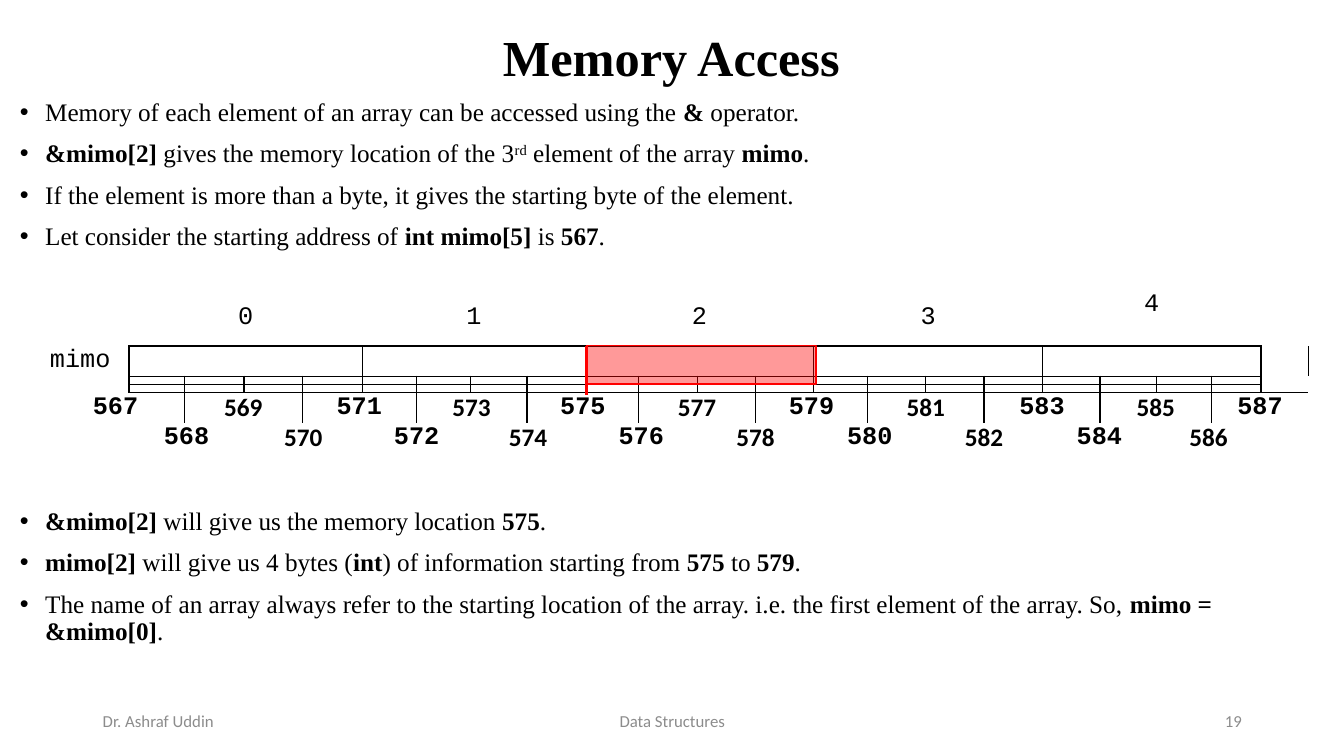
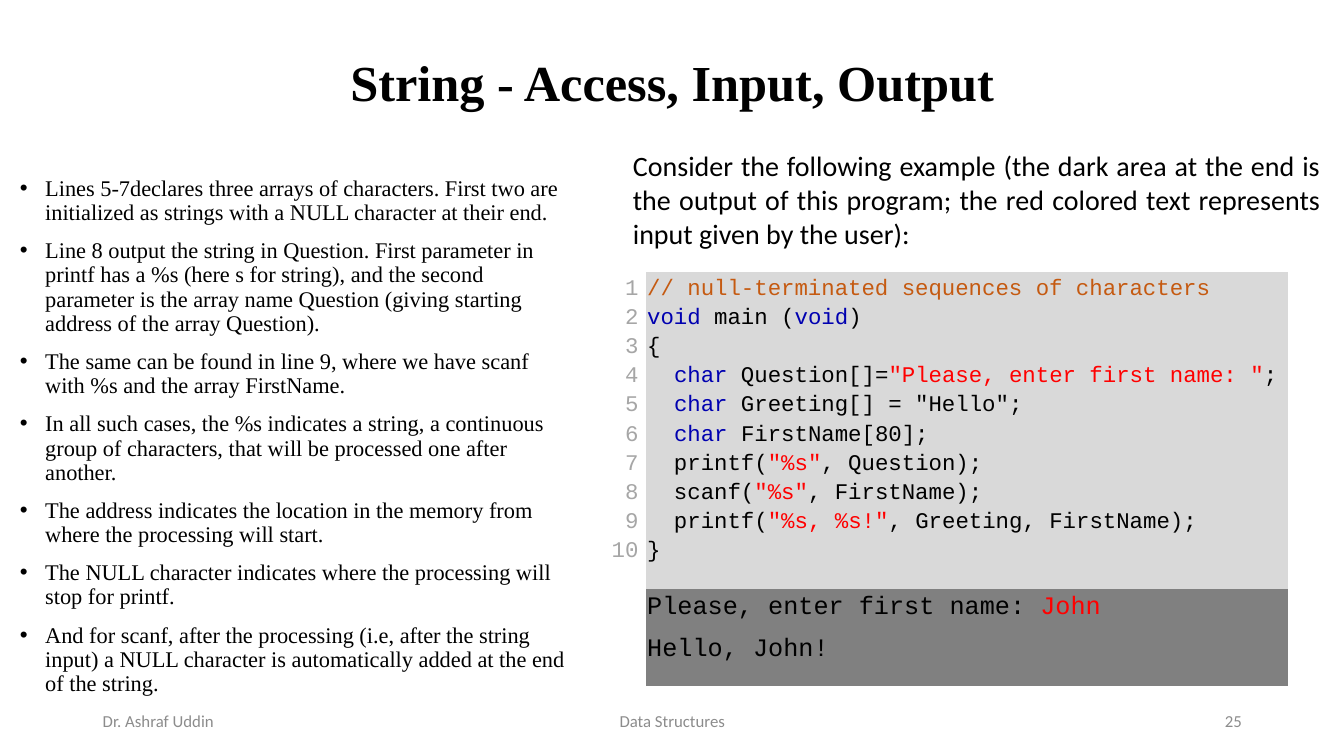
from itertools import product
from lxml import etree
from pptx import Presentation
from pptx.dml.color import RGBColor
from pptx.enum.shapes import MSO_CONNECTOR, MSO_SHAPE
from pptx.enum.text import MSO_ANCHOR, PP_ALIGN
from pptx.oxml.ns import qn
from pptx.util import Cm, Pt

COLORS = {"text": "000000", "footer": "8C8C8C", "red": "FF0000",
          "keyword": "0000B0", "comment": "C55A11", "number": "A6A6A6",
          "code": "D9D9D9", "output": "808080"}
SERIF, SANS, MONO = "Times New Roman", "Calibri", "Courier New"
ALIGN = {"l": PP_ALIGN.LEFT, "c": PP_ALIGN.CENTER,
         "r": PP_ALIGN.RIGHT, "j": PP_ALIGN.JUSTIFY}
NO_STYLE = "{2D5ABB26-0587-4C30-8999-92F81FD0307C}"


def write(tf, paras, size=18, font=SANS, color="text", bold=False, align="l",
          spacing=1.0, before=0, after=0, bullet=False):
    """A paragraph is a string or a list of strings and (string, style) pairs;
    a style is "b", "sup" or a colour name."""
    for i, pieces in enumerate(paras):
        p = tf.paragraphs[0] if i == 0 else tf.add_paragraph()
        p.alignment, p.line_spacing = ALIGN[align], spacing
        p.space_before = Pt(before if i else 0)
        p.space_after = Pt(after)
        if bullet:
            pPr = p._p.get_or_add_pPr()
            pPr.set("marL", str(Cm(0.64)))
            pPr.set("indent", str(-Cm(0.64)))
            etree.SubElement(pPr, qn("a:buFont")).set("typeface", "Arial")
            etree.SubElement(pPr, qn("a:buChar")).set("char", "•")
        if not pieces:
            etree.SubElement(p._p, qn("a:endParaRPr")).set("sz", str(size * 100))
            continue
        for piece in [pieces] if isinstance(pieces, str) else pieces:
            text, style = (piece, "") if isinstance(piece, str) else piece
            r = p.add_run()
            r.text = text
            r.font.size, r.font.name = Pt(size), font
            r.font.bold = bold or style == "b"
            r.font.color.rgb = RGBColor.from_string(COLORS.get(style, COLORS[color]))
            if style == "sup":
                r.font._element.set("baseline", "30000")


def format_cell(cell, edges="", fill=None, margins=(0, 0, 0, 0)):
    tcPr = cell._tc.get_or_add_tcPr()
    for side in "LRTB":
        if side in edges:
            ln = etree.SubElement(tcPr, qn("a:ln" + side), w=str(Pt(1)))
            paint = etree.SubElement(ln, qn("a:solidFill"))
            etree.SubElement(paint, qn("a:srgbClr"), val=COLORS["text"])
    if fill:
        cell.fill.solid()
        cell.fill.fore_color.rgb = RGBColor.from_string(COLORS[fill])
    else:
        cell.fill.background()
    (cell.margin_left, cell.margin_top,
     cell.margin_right, cell.margin_bottom) = [Cm(m) for m in margins]


prs = Presentation()
prs.slide_width, prs.slide_height = Cm(33.87), Cm(19.05)
memory, strings = [prs.slides.add_slide(prs.slide_layouts[6]) for _ in range(2)]

# Shared text formats
TITLE = dict(size=36, font=SERIF, bold=True, align="c", spacing=0.9)
BODY = dict(font=SERIF, spacing=0.9, before=10, bullet=True)
FOOTER = dict(size=12, color="footer")

# Wording
access = [
    ["Memory of each element of an array can be accessed using the ",
     ("&", "b"), " operator."],
    [("&mimo[2]", "b"), " gives the memory location of the 3", ("rd", "sup"),
     " element of the array ", ("mimo", "b"), "."],
    "If the element is more than a byte, it gives the starting byte of the element.",
    ["Let consider the starting address of ", ("int mimo[5]", "b"), " is ",
     ("567", "b"), "."],
]
result = [
    [("&mimo[2] ", "b"), "will give us the memory location ", ("575", "b"), "."],
    [("mimo[2]", "b"), " will give us 4 bytes (", ("int", "b"),
     ") of information starting from ", ("575", "b"), " to ", ("579", "b"), "."],
    ["The name of an array always refer to the starting location of the array. "
     "i.e. the first element of the array. So, ", ("mimo = &mimo[0]", "b"), "."],
]
notes_on_code = [
    "Lines 5-7declares three arrays of characters. First two are initialized as "
    "strings with a NULL character at their end.",
    "Line 8 output the string in Question. First parameter in printf has a %s "
    "(here s for string), and the second parameter is the array name Question "
    "(giving starting address of the array Question).",
    "The same can be found in line 9, where we have scanf with %s and the array "
    "FirstName.",
    "In all such cases, the %s indicates a string, a continuous group of "
    "characters, that will be processed one after another.",
    "The address indicates the location in the memory from where the processing "
    "will start.",
    "The NULL character indicates where the processing will stop for printf.",
    "And for scanf, after the processing (i.e, after the string input) a NULL "
    "character is automatically added at the end of the string.",
]
intro = ["Consider the following example (the dark area at the end is the output of "
         "this program; the red colored text represents input given by the user):"]

# Text boxes: slide, (left, top, width, height), anchor, paragraphs, format
boxes = [
    (memory, (0.41, 0.53, 33.02, 1.98), "middle", ["Memory Access"], TITLE),
    (memory, (0.25, 2.39, 33.27, 4.3), "top", access, BODY),
    (memory, (0.25, 12.7, 33.27, 4.62), "top", result, BODY),
    (strings, (2.34, 1.02, 29.21, 2.24), "middle",
     ["String - Access, Input, Output"], TITLE),
    (strings, (0.25, 4.34, 14.43, 12.98), "top", notes_on_code, BODY | dict(size=16)),
    (strings, (15.7, 3.63, 17.83, 2.82), "top", intro, dict(size=20, align="j")),
]
for s, number in ((memory, "19"), (strings, "25")):
    for left, width, align, text in ((2.34, 7.62, "l", "Dr. Ashraf Uddin"),
                                     (11.23, 11.43, "c", "Data Structures"),
                                     (23.93, 7.62, "r", number)):
        boxes.append((s, (left, 17.65, width, 1.02), "middle", [text],
                      FOOTER | dict(align=align)))
for s, place, anchor, paras, fmt in boxes:
    tf = s.shapes.add_textbox(*[Cm(v) for v in place]).text_frame
    tf.word_wrap = True
    tf.vertical_anchor = MSO_ANCHOR.MIDDLE if anchor == "middle" else MSO_ANCHOR.TOP
    write(tf, paras, **fmt)

# Both tables, without banding
memory_cols = [2.46, 1.4, 1.5, 1.47, 1.52, 1.35, 1.37, 1.42, 1.47, 1.35, 1.47,
               1.47, 1.47, 1.35, 1.47, 1.47, 1.47, 1.45, 1.42, 1.4, 1.24, 1.19]
memory_rows = [1.4, 0.72, 0.2, 0.2, 0.77, 0.77, 0.1]
tables = []
for s, left, top, cols, rows in ((memory, 0.79, 7.32, memory_cols, memory_rows),
                                 (strings, 15.35, 6.86, [0.94, 16.17], [7.98, 2.44])):
    frame = s.shapes.add_table(len(rows), len(cols), Cm(left), Cm(top),
                               Cm(sum(cols)), Cm(sum(rows)))
    table = frame.table
    table.first_row = table.horz_banding = False
    table._tbl.tblPr.find(qn("a:tableStyleId")).text = NO_STYLE
    for column, width in zip(table.columns, cols):
        column.width = Cm(width)
    for row, height in zip(table.rows, rows):
        row.height = Cm(height)
    tables.append(table)
memory_table, code_table = tables

# Memory table: (row, column) -> text, columns spanned, format
labels = {(1, 0): ("mimo", 1, dict(font=MONO))}
for i in range(5):
    labels[0, 1 + 4 * i] = (str(i), 4, dict(font=MONO))
    labels[1, 1 + 4 * i] = ("", 4, dict(size=1))
for k in range(11):
    address = dict(font=SANS if k % 2 else MONO, bold=True)
    labels[4, 2 * k] = (("" if k else "\u00a0") + str(567 + 2 * k), 2, address)
    if k < 10:
        labels[5, 2 * k + 1] = (str(568 + 2 * k), 2, address)

# Ticks at every byte, long ones at odd offsets
for row, col in product(range(7), range(22)):
    edges = ""
    if 1 <= col <= 20:
        edges += {0: "B", 1: "T", 2: "B", 3: "T"}.get(row, "")
    if ((row == 1 and col % 4 == 1) or (row in (2, 3) and col >= 1)
            or (row == 4 and col >= 2 and col % 2 == 0)):
        edges += "L"
    cell = memory_table.cell(row, col)
    text, span, fmt = labels.get((row, col), ("", 1, dict(size=1)))
    format_cell(cell, edges)
    cell.vertical_anchor = MSO_ANCHOR.TOP if text == "4" else MSO_ANCHOR.MIDDLE
    write(cell.text_frame, [text], align="c", **fmt)
for (row, col), (text, span, fmt) in labels.items():
    if span > 1:
        memory_table.cell(row, col).merge(memory_table.cell(row, col + span - 1))

# Highlight of mimo[2]
red = RGBColor.from_string(COLORS["red"])
start = memory.shapes.add_connector(MSO_CONNECTOR.STRAIGHT, Cm(14.78), Cm(8.71),
                                    Cm(14.78), Cm(9.96))
start.line.color.rgb, start.line.width = red, Pt(2.25)
etree.SubElement(start._element.spPr, qn("a:effectLst"))
sp = memory.shapes.add_shape(MSO_SHAPE.RECTANGLE, Cm(14.78), Cm(8.71), Cm(5.79), Cm(0.97))
sp.shadow.inherit = False
sp.fill.solid()
sp.fill.fore_color.rgb = red
etree.SubElement(sp._element.spPr.find(".//" + qn("a:srgbClr")), qn("a:alpha"), val="40000")
sp.line.color.rgb, sp.line.width = red, Pt(1)

# Code listing and its output
code = [
    [("// null-terminated sequences of characters", "comment")],
    [("void ", "keyword"), "main (", ("void", "keyword"), ")"],
    "{",
    ["  ", ("char", "keyword"), " Question[]=",
     ('"Please, enter first name: "', "red"), ";"],
    ["  ", ("char", "keyword"), ' Greeting[] = "Hello";'],
    ["  ", ("char ", "keyword"), "FirstName[80];"],
    ["  printf(", ('"%s"', "red"), ", Question);"],
    ["  scanf(", ('"%s"', "red"), ", FirstName);"],
    ["  printf(", ('"%s, %s!"', "red"), ", Greeting, FirstName);"],
    "}",
]
output = [["Please, enter first name: ", ("John", "red")], "Hello, John!"]
line_numbers = [str(n + 1) for n in range(len(code))]
for row, col, paras, fill, right, fmt in (
        (0, 0, line_numbers, None, 0.2, dict(size=16, color="number", align="r")),
        (0, 1, code, "code", 0.02, dict(size=16)),
        (1, 0, [""], None, 0.02, {}),
        (1, 1, output, "output", 0.02, dict(before=6))):
    cell = code_table.cell(row, col)
    format_cell(cell, fill=fill, margins=(0.02, 0.02, right, 0.02))
    write(cell.text_frame, paras, font=MONO, spacing=1.15, **fmt)
code_table.cell(1, 1).text_frame.paragraphs[-1].space_after = Pt(6)

prs.save("out.pptx")
